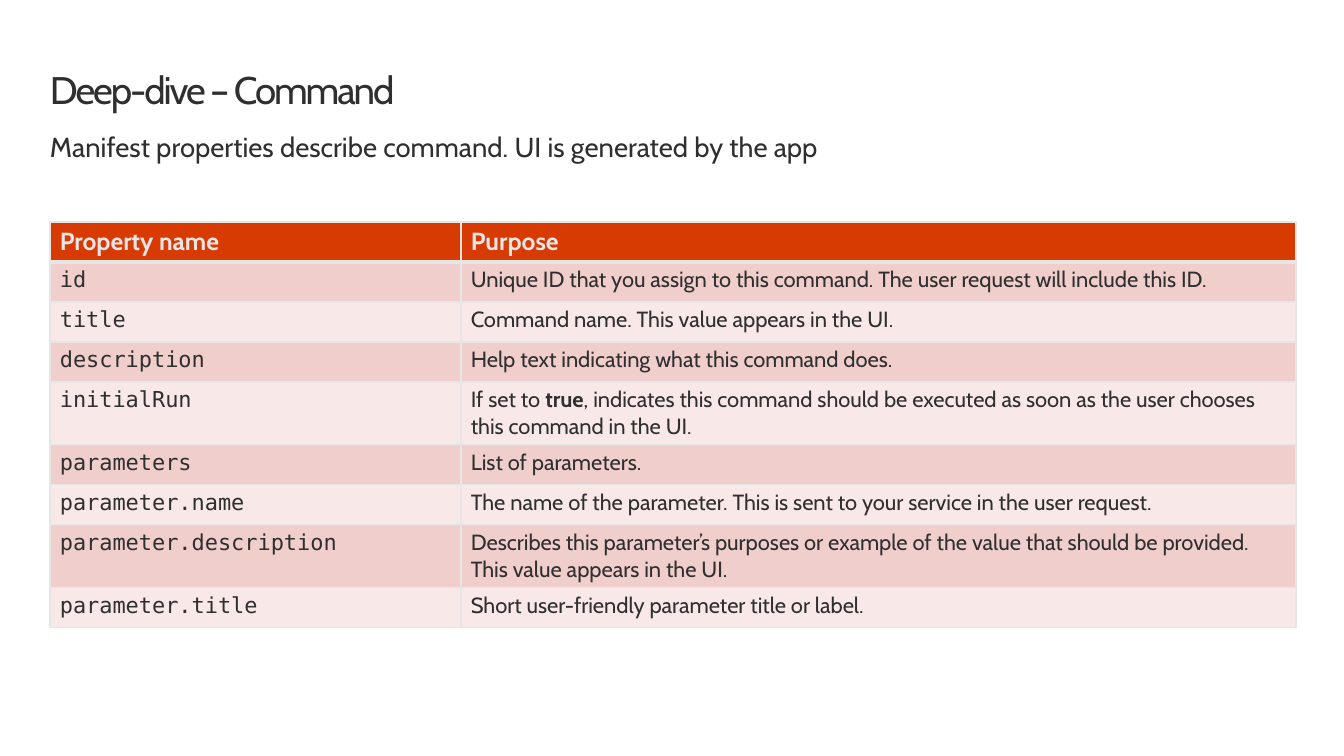
from lxml import etree
from pptx import Presentation
from pptx.dml.color import RGBColor
from pptx.enum.text import MSO_ANCHOR
from pptx.oxml.ns import qn
from pptx.util import Pt

TOP = MSO_ANCHOR.TOP
EMU_PER_PX = 9255
BLANK_LAYOUT = 6
TEXT_FONT = "Cabin"
CODE_FONT = "DejaVu Sans Mono"
COLORS = {
    "ink": "2F2F2F",
    "light": "E6E6E6",
    "header": "D83B01",
    "odd": "F0CECC",
    "even": "F8E8E7",
}
TITLE = {"name": TEXT_FONT, "size": Pt(28), "color": "ink"}
SUBTITLE = {"name": TEXT_FONT, "size": Pt(20), "color": "ink"}
HEADER = {"name": TEXT_FONT, "size": Pt(18), "bold": True, "color": "light"}
CODE = {"name": CODE_FONT, "size": Pt(16), "bold": False, "color": "ink"}
PURPOSE = {"name": TEXT_FONT, "size": Pt(16), "bold": False, "color": "ink"}
STRONG = {**PURPOSE, "bold": True}

COLUMN_WIDTHS = (411, 835)
LINE_ROW = 40
WRAPPED_ROW = 63
WRAPPED_PROPERTIES = ("initialRun", "parameter.description")
PROPERTIES = [
    ("id", ["Unique ID that you assign to this command. The user request will include this ID."]),
    ("title", ["Command name. This value appears in the UI."]),
    ("description", ["Help text indicating what this command does."]),
    ("initialRun", [
        "If set to ",
        "true",
        ", indicates this command should be executed as soon as the user chooses this command in the UI.",
    ]),
    ("parameters", ["List of parameters."]),
    ("parameter.name", ["The name of the parameter. This is sent to your service in the user request."]),
    ("parameter.description", [
        "Describes this parameter’s purposes or example of the value that should be provided. "
        "This value appears in the UI.",
    ]),
    ("parameter.title", ["Short user-friendly parameter title or label."]),
]


def px(length):
    return length * EMU_PER_PX


def rgb(name):
    return RGBColor.from_string(COLORS[name])


def add_run(paragraph, text, style):
    run = paragraph.add_run()
    run.text = text
    for attribute, value in style.items():
        if attribute == "color":
            run.font.color.rgb = rgb(value)
        else:
            setattr(run.font, attribute, value)
    return run


def add_text(slide, box, text, style, line_spacing):
    shape = slide.shapes.add_textbox(*map(px, box))
    frame = shape.text_frame
    frame_format = {
        "word_wrap": True,
        "vertical_anchor": TOP,
        "margin_left": 0,
        "margin_top": 0,
        "margin_right": 0,
        "margin_bottom": 0,
    }
    for attribute, value in frame_format.items():
        setattr(frame, attribute, value)
    paragraph = frame.paragraphs[0]
    paragraph.line_spacing = Pt(line_spacing)
    return add_run(paragraph, text, style)


def set_borders(cell, widths):
    properties = cell._tc.get_or_add_tcPr()
    for side in "LRTB":
        line = etree.SubElement(properties, qn(f"a:ln{side}"), w=str(Pt(widths.get(side, 1))))
        fill = etree.SubElement(line, qn("a:solidFill"))
        etree.SubElement(fill, qn("a:srgbClr"), val=COLORS["light"])


def fill_cell(cell, runs, fill, widths):
    set_borders(cell, widths)
    cell.fill.solid()
    cell.fill.fore_color.rgb = rgb(fill)
    for text, style in runs:
        add_run(cell.text_frame.paragraphs[0], text, style)


def add_property_table(slide, left, top):
    heights = [LINE_ROW] + [
        WRAPPED_ROW if name in WRAPPED_PROPERTIES else LINE_ROW for name, _ in PROPERTIES
    ]
    box = (left, top, sum(COLUMN_WIDTHS), sum(heights))
    table = slide.shapes.add_table(len(heights), len(COLUMN_WIDTHS), *map(px, box)).table
    table.first_row = False
    table.horz_banding = False
    for column, width in zip(table.columns, COLUMN_WIDTHS):
        column.width = px(width)
    for row, height in zip(table.rows, heights):
        row.height = px(height)

    for column, heading in enumerate(("Property name", "Purpose")):
        fill_cell(table.cell(0, column), [(heading, HEADER)], "header", {"B": 3})
    for row, (name, parts) in enumerate(PROPERTIES, start=1):
        fill = "odd" if row % 2 else "even"
        widths = {"T": 3} if row == 1 else {}
        purpose = [(part, STRONG if part == "true" else PURPOSE) for part in parts]
        fill_cell(table.cell(row, 0), [(name, CODE)], fill, widths)
        fill_cell(table.cell(row, 1), purpose, fill, widths)


def main():
    presentation = Presentation()
    presentation.slide_width = px(1344)
    presentation.slide_height = px(756)
    slide = presentation.slides.add_slide(presentation.slide_layouts[BLANK_LAYOUT])
    title = add_text(slide, (50, 68, 1246, 44), "Deep-dive – Command", TITLE, 32)
    title.font._element.set("spc", "-150")
    add_text(
        slide,
        (50, 130, 1246, 34),
        "Manifest properties describe command. UI is generated by the app",
        SUBTITLE,
        24,
    )
    add_property_table(slide, 50, 222)
    presentation.save("out.pptx")


if __name__ == "__main__":
    main()
